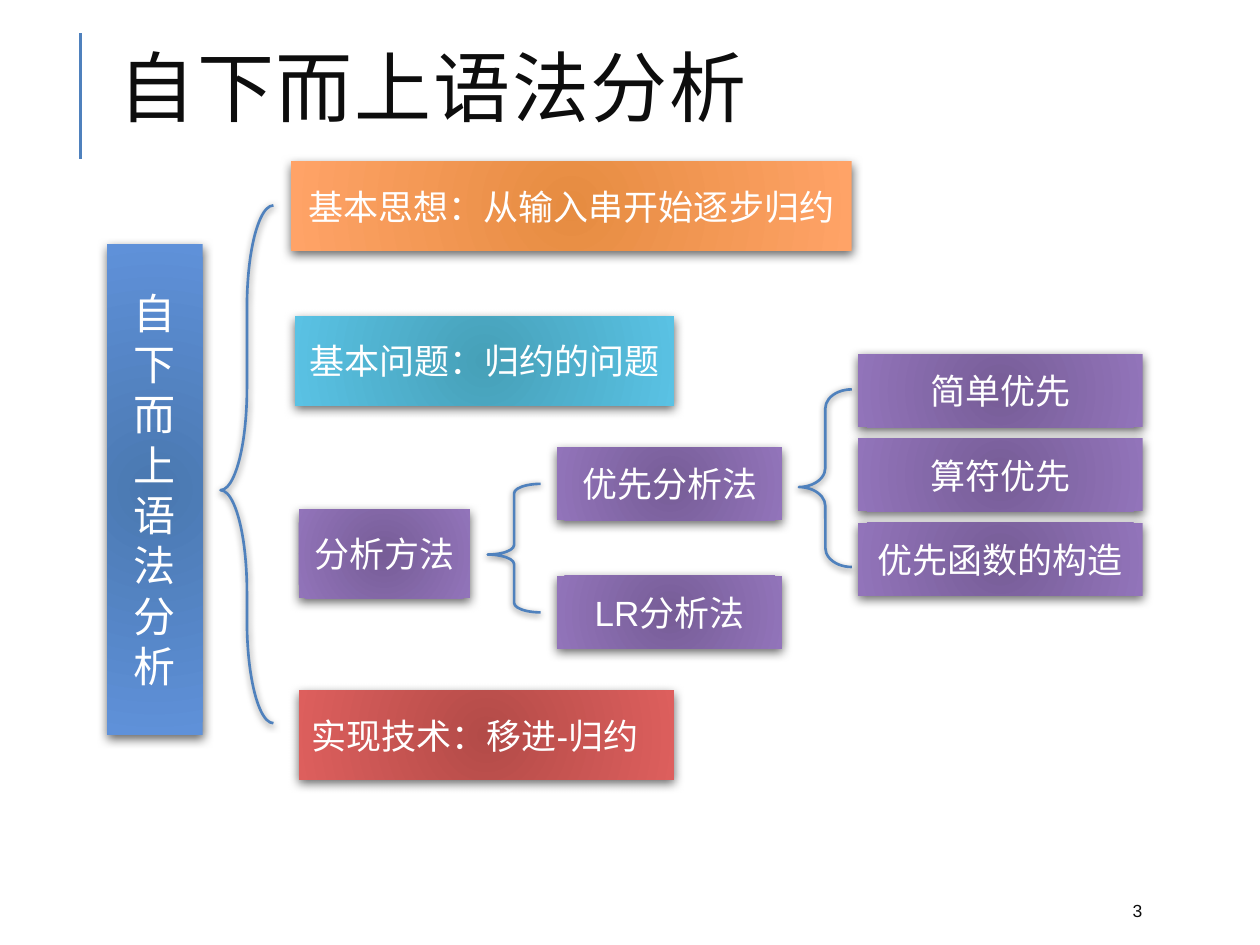
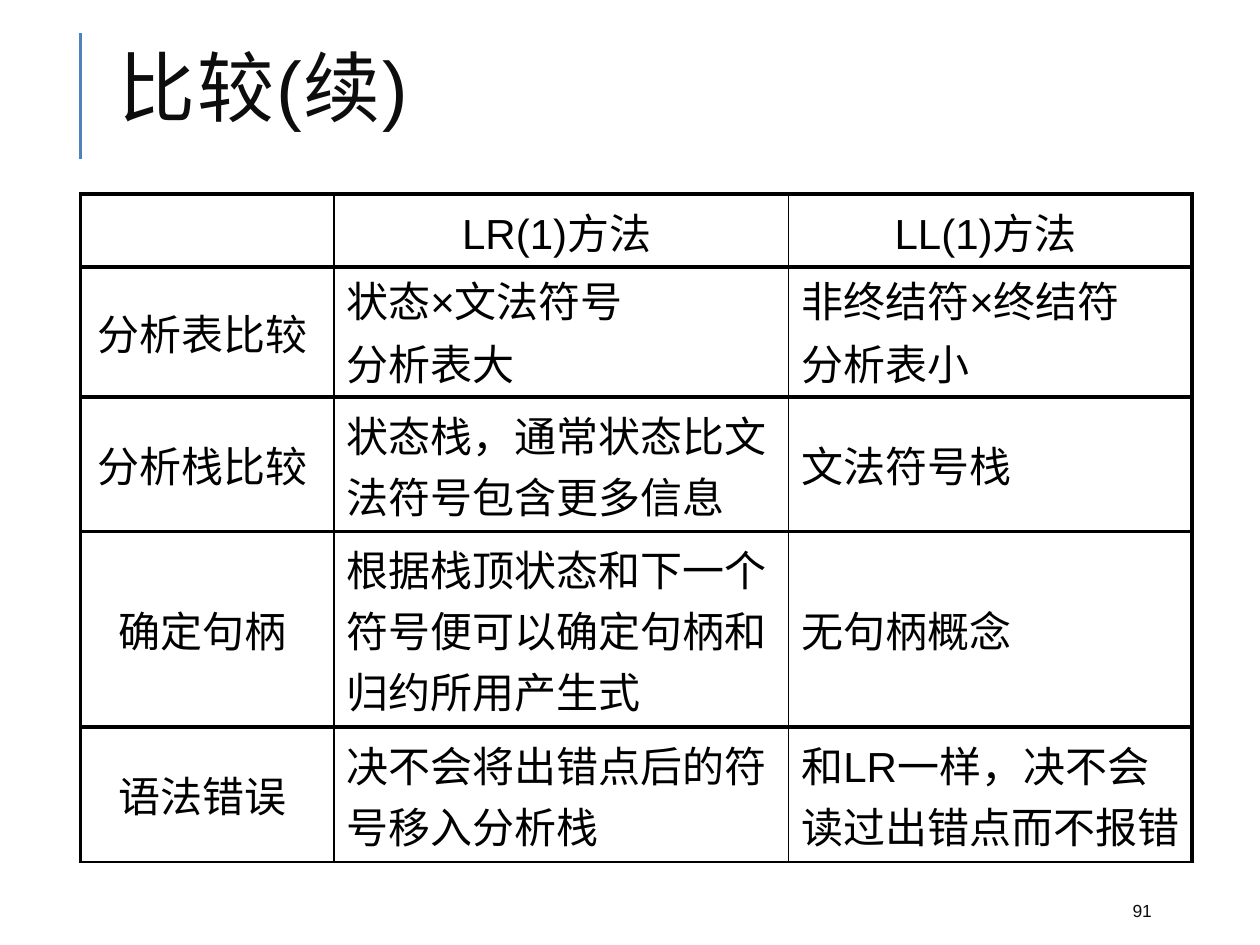
import dataclasses

import pptx
import pptx.dml.color
import pptx.enum.shapes
import pptx.enum.text
import pptx.oxml
import pptx.oxml.ns
import pptx.util

PX = 9144
LEFT = pptx.enum.text.PP_ALIGN.LEFT
CENTER = pptx.enum.text.PP_ALIGN.CENTER
MIDDLE = pptx.enum.text.MSO_ANCHOR.MIDDLE
NAMESPACE = pptx.oxml.ns.nsdecls("a")


@dataclasses.dataclass(frozen=True)
class Theme:
    font: str = "Arial"
    ink: str = "0D0D0D"
    black: str = "000000"
    white: str = "FFFFFF"
    accent: str = "4F81BD"
    blue: tuple = ("4A78B0", "5F91D9")
    orange: tuple = ("E68C41", "FFA367")
    teal: tuple = ("46A0B8", "5AC2E4")
    purple: tuple = ("775D97", "9274BA")
    red: tuple = ("B34B48", "DD5F5D")
    title_size: int = 44
    large_size: int = 24
    label_size: int = 20
    number_size: int = 10
    line_width: float = 1.5
    thick: float = 2.25
    thin: float = 1


def emu(*lengths):
    return [length * PX for length in lengths]


def rgb(color):
    return pptx.dml.color.RGBColor.from_string(color)


def write_text(frame, text, *, font, size, color, align=LEFT,
               line_spacing=None, gap=0, tracking=0):
    frame.word_wrap = True
    frame.vertical_anchor = MIDDLE
    for index, line in enumerate(text.split("\n")):
        para = frame.add_paragraph() if index else frame.paragraphs[0]
        para.alignment = align
        para.line_spacing = line_spacing
        para.space_before = pptx.util.Pt(gap if index else 0)
        span = para.add_run()
        span.text = line
        span.font.name = font
        span.font.size = pptx.util.Pt(size)
        span.font.color.rgb = rgb(color)
        if tracking:
            span.font._element.set("spc", str(tracking * 100))


def add_shadow(shape, color, opacity, blur, distance):
    shape.shadow.inherit = False
    effects = shape.element.spPr.find(pptx.oxml.ns.qn("a:effectLst"))
    effects.append(pptx.oxml.parse_xml(
        f'<a:outerShdw {NAMESPACE} blurRad="{pptx.util.Pt(blur)}" '
        f'dist="{pptx.util.Pt(distance)}" dir="5400000" rotWithShape="0">'
        f'<a:srgbClr val="{color}"><a:alpha val="{opacity * 1000}"/>'
        '</a:srgbClr></a:outerShdw>'))


def fill_radial(shape, inner, outer):
    shape.fill.solid()
    properties = shape.element.spPr
    solid = properties.find(pptx.oxml.ns.qn("a:solidFill"))
    properties.replace(solid, pptx.oxml.parse_xml(
        f'<a:gradFill {NAMESPACE} rotWithShape="1"><a:gsLst>'
        f'<a:gs pos="0"><a:srgbClr val="{inner}"/></a:gs>'
        f'<a:gs pos="100000"><a:srgbClr val="{outer}"/></a:gs></a:gsLst>'
        '<a:path path="circle"><a:fillToRect l="100000" t="100000" '
        'r="100000" b="100000"/></a:path></a:gradFill>'))


def set_borders(cell, color, widths):
    properties = cell._tc.get_or_add_tcPr()
    for index, (side, width) in enumerate(zip("LRTB", widths)):
        properties.insert(index, pptx.oxml.parse_xml(
            f'<a:ln{side} {NAMESPACE} w="{pptx.util.Pt(width)}"><a:solidFill>'
            f'<a:srgbClr val="{color}"/></a:solidFill></a:ln{side}>'))


class Deck:
    def __init__(self, theme):
        self.theme = theme
        self.presentation = pptx.Presentation()
        self.presentation.slide_width, self.presentation.slide_height = emu(1000, 750)
        self.page = None

    def add_page(self, title, number):
        theme = self.theme
        self.page = self.presentation.slides.add_slide(
            self.presentation.slide_layouts.get_by_name("Title Only"))
        self.add_rule(64, 126, 64, 26)
        box = self.page.shapes.title
        box.left, box.top, box.width, box.height = emu(84, 26, 850, 98)
        box.text_frame.auto_size = pptx.enum.text.MSO_AUTO_SIZE.NONE
        write_text(box.text_frame, title, font=theme.font, size=theme.title_size,
                   color=theme.ink, line_spacing=0.8, tracking=1)
        box = self.page.shapes.add_textbox(*emu(889, 708, 80, 30))
        write_text(box.text_frame, number, font=theme.font,
                   size=theme.number_size, color=theme.ink)

    def add_rule(self, *ends):
        rule = self.page.shapes.add_connector(
            pptx.enum.shapes.MSO_CONNECTOR.STRAIGHT, *emu(*ends))
        rule.line.color.rgb = rgb(self.theme.accent)
        rule.line.width = pptx.util.Pt(self.theme.line_width)
        rule.element.spPr.append(pptx.oxml.parse_xml(f"<a:effectLst {NAMESPACE}/>"))

    def add_block(self, text, place, colors, size=None, align=CENTER):
        theme = self.theme
        block = self.page.shapes.add_shape(
            pptx.enum.shapes.MSO_SHAPE.RECTANGLE, *emu(*place))
        fill_radial(block, *colors)
        block.line.fill.background()
        add_shadow(block, theme.black, 60, 6, 2)
        write_text(block.text_frame, text, font=theme.font,
                   size=size or theme.label_size, color=theme.white, align=align)

    def add_brace(self, left, top, height, curve):
        brace = self.page.shapes.add_shape(
            pptx.enum.shapes.MSO_SHAPE.LEFT_BRACE, *emu(left, top, 42, height))
        brace.adjustments[0] = curve
        brace.adjustments[1] = 0.55
        brace.fill.background()
        brace.line.color.rgb = rgb(self.theme.accent)
        brace.line.width = pptx.util.Pt(self.theme.line_width)
        add_shadow(brace, self.theme.black, 50, 4, 1)

    def add_table(self, left, top, columns, heights, rows):
        theme = self.theme
        table = self.page.shapes.add_table(
            len(rows), len(columns),
            *emu(left, top, sum(columns), sum(heights))).table
        table.first_row = table.horz_banding = False
        for column, width in zip(table.columns, emu(*columns)):
            column.width = width
        for row, height in zip(table.rows, emu(*heights)):
            row.height = height
        for row_index, row in enumerate(rows):
            for column_index, text in enumerate(row):
                cell = table.cell(row_index, column_index)
                cell.fill.background()
                cell.vertical_anchor = MIDDLE
                set_borders(cell, theme.black, (
                    theme.thin if column_index else theme.thick,
                    theme.thick if column_index == len(columns) - 1 else theme.thin,
                    theme.thick,
                    theme.thin if row_index == len(rows) - 1 else theme.thick))
                if text:
                    heading = row_index == 0 or column_index == 0
                    write_text(cell.text_frame, text, font=theme.font,
                               size=theme.large_size, color=theme.black,
                               align=CENTER if heading else LEFT,
                               line_spacing=0.9 if "\n" in text else None, gap=5)


def build_overview(deck):
    theme = deck.theme
    deck.add_page("自下而上语法分析", "3")
    deck.add_block("自下而上语法分析", (85, 194, 76, 389), theme.blue, theme.large_size)
    deck.add_brace(175, 163, 411, 1.93)
    deck.add_block("基本思想：从输入串开始逐步归约", (231, 128, 445, 71), theme.orange)
    deck.add_block("基本问题：归约的问题", (234, 251, 301, 71), theme.teal)
    deck.add_block("分析方法", (237, 404, 136, 71), theme.purple)
    deck.add_brace(387, 384, 102, 0.18)
    for index, method in enumerate(("优先分析法", "LR分析法")):
        deck.add_block(method, (442, 355 + 102 * index, 179, 58), theme.purple)
    deck.add_brace(634, 309, 141, 0.36)
    for index, topic in enumerate(("简单优先", "算符优先", "优先函数的构造")):
        deck.add_block(topic, (681, 281 + 67 * index, 226, 58), theme.purple)
    deck.add_block("实现技术：移进-归约", (237, 548, 298, 71), theme.red, align=LEFT)


def build_comparison(deck):
    deck.add_page("比较(续)", "91")
    deck.add_table(64, 154, (201, 361, 320), (58, 103, 107, 155, 107), (
        ("", "LR(1)方法 ", "LL(1)方法 "),
        ("分析表比较 ", "状态×文法符号\n分析表大", "非终结符×终结符\n分析表小"),
        ("分析栈比较 ", "状态栈，通常状态比文法符号包含更多信息", "文法符号栈"),
        ("确定句柄 ", "根据栈顶状态和下一个符号便可以确定句柄和归约所用产生式", "无句柄概念"),
        ("语法错误 ", "决不会将出错点后的符号移入分析栈", "和LR一样，决不会读过出错点而不报错"),
    ))


def main():
    deck = Deck(Theme())
    build_overview(deck)
    build_comparison(deck)
    deck.presentation.save("out.pptx")


if __name__ == "__main__":
    main()
